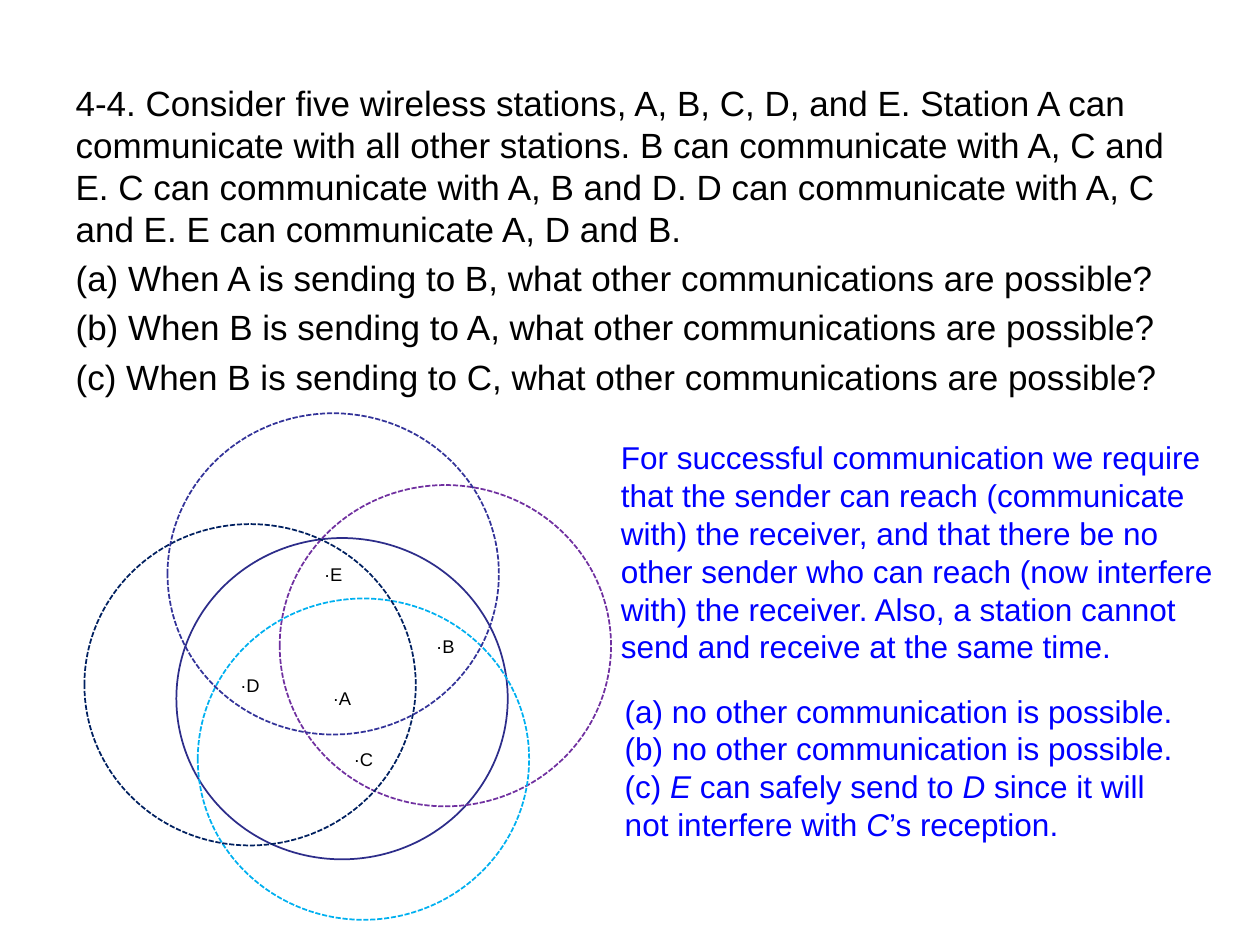
"""Build the slide on five wireless stations and their radio ranges."""
from lxml.etree import SubElement as Sub
from pptx import Presentation as Deck
from pptx.dml.color import RGBColor as Rgb
from pptx.enum.dml import MSO_LINE as Dash
from pptx.enum.shapes import MSO_SHAPE as Shape
from pptx.enum.text import MSO_ANCHOR as Anchor, MSO_AUTO_SIZE as Fit, PP_ALIGN as Align
from pptx.oxml.ns import qn
from pptx.util import Inches, Pt

INK = {"text": "000000", "reply": "0000FF", "A": "2D2D8A", "B": "7030A0",
       "C": "00B0F0", "D": "002060", "E": "333399"}
SPOTS = {"A": (1.4, 4.27), "B": (2.22, 3.85), "C": (1.57, 4.75),
         "D": (0.67, 4.16), "E": (1.33, 3.28)}
TASK = [
    "4-4. Consider five wireless stations, A, B, C, D, and E. Station A can "
    "communicate with all other stations. B can communicate with A, C and E. "
    "C can communicate with A, B and D. D can communicate with A, C and E. "
    "E can communicate A, D and B.",
] + [f"({part}) When {src} is sending to {dest}, what other communications are possible?"
     for part, src, dest in ("aAB", "bBA", "cBC")]
RULE = ["For successful communication we require that the sender can reach "
        "(communicate with) the receiver, and that there be no other sender who "
        "can reach (now interfere with) the receiver. Also, a station cannot "
        "send and receive at the same time."]
REPLY = ["(a) no other communication is possible.",
         "(b) no other communication is possible.",
         "(c) *E *can safely send to *D *since it will not interfere with *C*\u2019s reception."]


class Page:
    """Hold the style and the slide, and add each kind of element."""

    def __init__(self, deck, face="Arial"):
        self.slide = deck.slides.add_slide(deck.slide_layouts[1])
        self.face = face
        title = self.slide.shapes.title
        title.element.getparent().remove(title.element)
        self.group = self.slide.shapes.add_group_shape()

    def place(self, shape, left, top, width, height):
        shape.left, shape.top = Inches(left), Inches(top)
        shape.width, shape.height = Inches(width), Inches(height)

    def letter(self, frame, lines, size, ink):
        frame.word_wrap = True
        for num, line in enumerate(lines):
            para = frame.add_paragraph() if num else frame.paragraphs[0]
            for turn, text in enumerate(line.split("*")):
                run = para.add_run()
                run.text = text
                if turn % 2:
                    run.font.italic = True
            font = para.font
            font.name, font.size = self.face, Pt(size)
            font.color.rgb = Rgb.from_string(INK[ink])

    def body(self, box, lines, size):
        shape = self.slide.placeholders[1]
        self.place(shape, *box)
        frame = shape.text_frame
        self.letter(frame, lines, size, "text")
        frame.auto_size = Fit.NONE
        for para in frame.paragraphs:
            para.space_before = Pt(size * 0.2)
            props = para._p.get_or_add_pPr()
            props.set("marL", "0")
            props.set("indent", "0")
            bare = Sub(props, qn("a:buNone"))
            props.find(qn("a:spcBef")).addnext(bare)

    def note(self, box, lines, size):
        shape = self.slide.shapes.add_textbox(*map(Inches, box))
        self.letter(shape.text_frame, lines, size, "reply")
        shape.text_frame.auto_size = Fit.SHAPE_TO_FIT_TEXT

    def ring(self, name, left, top, dash):
        box = map(Inches, (left, top, 2.63, 2.55))
        shape = self.group.shapes.add_shape(Shape.OVAL, *box)
        shape.shadow.inherit = False
        shape.fill.background()
        shape.line.color.rgb = Rgb.from_string(INK[name])
        shape.line.width = Pt(1)
        shape.line.dash_style = dash
        frame = shape.text_frame
        frame.vertical_anchor = Anchor.MIDDLE
        self.letter(frame, ["\u00b7" + name], 10.5, "text")
        frame.paragraphs[0].alignment = Align.CENTER


deck = Deck()
deck.slide_width, deck.slide_height = Inches(10), Inches(7.5)
page = Page(deck)
page.body((0.5, 0.6, 9, 6.06), TASK, 20)
for name, spot in SPOTS.items():
    page.ring(name, *spot, Dash.SOLID if name == "A" else Dash.SQUARE_DOT)
page.note((4.83, 3.43, 5, 1.92), RULE, 18)
page.note((4.86, 5.44, 4.71, 1.31), REPLY, 18)
deck.save("out.pptx")
